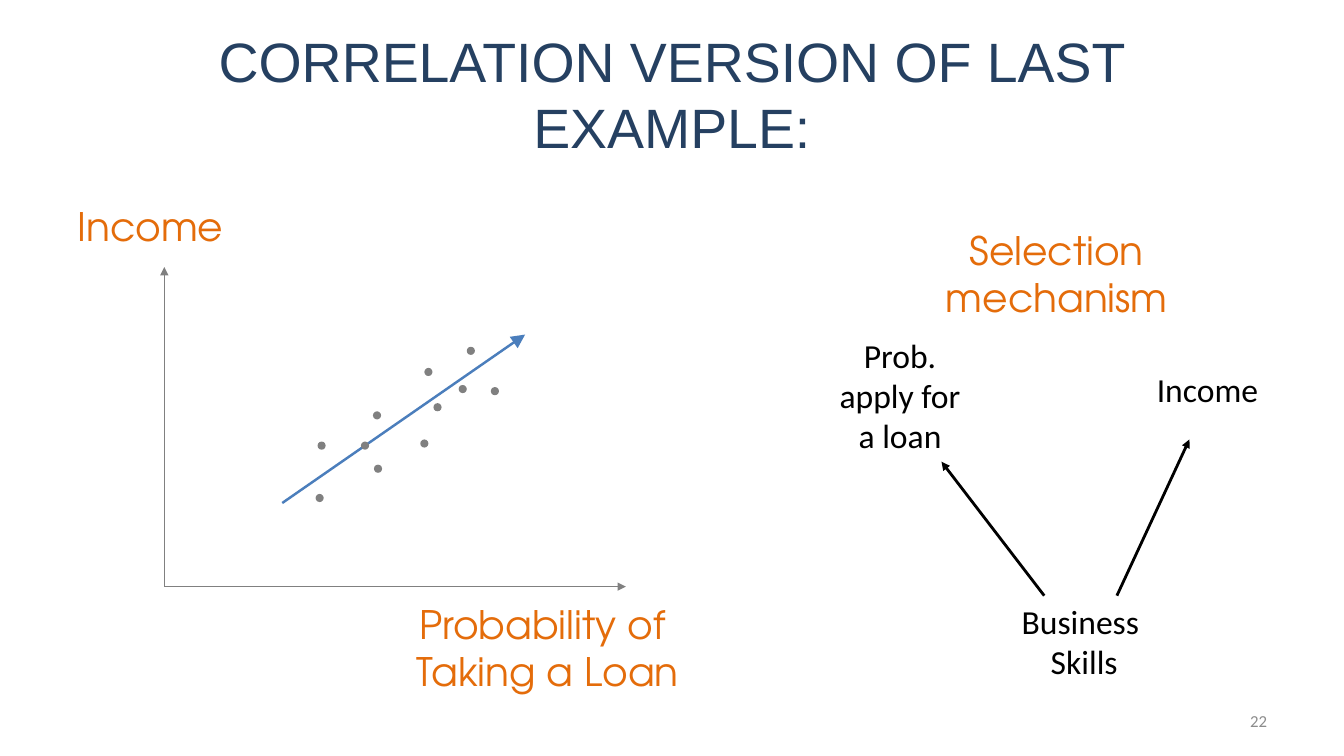
from typing import Any, NamedTuple

from lxml.etree import SubElement
from pptx import Presentation
from pptx.dml.color import RGBColor
from pptx.enum.shapes import MSO_CONNECTOR as Connector, MSO_SHAPE as Preset
from pptx.enum.text import MSO_ANCHOR as Anchor, MSO_AUTO_SIZE as AutoSize, PP_ALIGN as Align
from pptx.oxml.ns import qn
from pptx.slide import Slide
from pptx.text.text import TextFrame
from pptx.util import Pt

NAVY = RGBColor(0x25, 0x40, 0x61)
ORANGE = RGBColor(0xE4, 0x6C, 0x0A)
BLUE = RGBColor(0x4B, 0x7E, 0xBC)
GRAY = RGBColor(0x80, 0x80, 0x80)
PAGE_GRAY = RGBColor(0x8C, 0x8C, 0x8C)
BLACK = RGBColor(0, 0, 0)

DOT_SIZE = 5.8
ORIGIN = (117.4, 419)


class Style(NamedTuple):
    font: str
    size: float
    color: RGBColor
    align: Align = Align.CENTER
    anchor: Anchor = Anchor.TOP


class Label(NamedTuple):
    text: str
    box: tuple[float, float, float, float]
    style: Style
    wrap: bool = False


class Arrow(NamedTuple):
    start: tuple[float, float]
    end: tuple[float, float]
    color: RGBColor
    width: float
    head: str = "med"


TITLE = Style("Arial", 39.6, NAVY, anchor=Anchor.MIDDLE)
HEADING = Style("TeX Gyre Adventor", 28, ORANGE)
AXIS_NAME = HEADING._replace(align=Align.LEFT)
NODE = Style("Calibri", 24, BLACK)
PAGE = Style("Calibri", 12, PAGE_GRAY, Align.RIGHT, Anchor.MIDDLE)

HEADLINE = Label("CORRELATION VERSION OF LAST EXAMPLE:", (48, 21.6, 864, 90), TITLE, True)

LABELS = [
    Label("22", (688.3, 500.4, 223.9, 28.8), PAGE, True),
    Label("Probability of \vTaking a Loan", (288.7, 425.5, 205.2, 74.9), HEADING),
    Label("Income", (48.2, 141.1, 120.2, 41), AXIS_NAME),
    Label("Prob. apply for a loan", (584.6, 235.4, 116.6, 94.3), NODE, True),
    Label("Income", (818.6, 259.9, 87.8, 36), NODE),
    Label("Business \vSkills", (722.2, 425.5, 104.4, 65.5), NODE),
    Label("Selection\vmechanism", (667.4, 158.4, 175, 74.9), HEADING),
]

ARROWS = [
    Arrow(ORIGIN, (447.1, 419), GRAY, 0.75),
    Arrow(ORIGIN, (117.4, 190.8), GRAY, 0.75),
    Arrow((201.6, 359.3), (375.1, 239), BLUE, 1.75, "lg"),
    Arrow((797.8, 425.5), (849.6, 313.9), BLACK, 2),
    Arrow((745.9, 425.5), (672.5, 329.8), BLACK, 2),
]

OBSERVATIONS = [
    (225.4, 352.8), (226.8, 315.4), (267.1, 331.9), (266.4, 293.8),
    (257.8, 315.4), (303.1, 262.8), (300.2, 313.9), (309.6, 288),
    (327.6, 275), (333.4, 247.7), (350.6, 276.5),
]


def set_all(target: Any, values: dict[str, Any]) -> None:
    for attribute, value in values.items():
        setattr(target, attribute, value)


def write(frame: TextFrame, label: Label) -> None:
    style = label.style
    set_all(frame, {
        "text": label.text,
        "word_wrap": label.wrap,
        "auto_size": AutoSize.NONE,
        "vertical_anchor": style.anchor,
    })
    for paragraph in frame.paragraphs:
        paragraph.alignment = style.align
        for run in paragraph.runs:
            set_all(run.font, {"name": style.font, "size": Pt(style.size)})
            run.font.color.rgb = style.color


def draw_title(slide: Slide, label: Label) -> None:
    title = slide.shapes.title
    sides = ("left", "top", "width", "height")
    set_all(title, dict(zip(sides, map(Pt, label.box))))
    write(title.text_frame, label)


def draw_label(slide: Slide, label: Label) -> None:
    write(slide.shapes.add_textbox(*map(Pt, label.box)).text_frame, label)


def draw_arrow(slide: Slide, arrow: Arrow) -> None:
    ends = map(Pt, arrow.start + arrow.end)
    connector = slide.shapes.add_connector(Connector.STRAIGHT, *ends)
    connector.line.width = Pt(arrow.width)
    connector.line.color.rgb = arrow.color
    properties = connector._element.spPr
    SubElement(properties.find(qn("a:ln")), qn("a:tailEnd"),
               type="triangle", w=arrow.head, len=arrow.head)
    SubElement(properties, qn("a:effectLst"))


def draw_dot(slide: Slide, left: float, top: float) -> None:
    dot = slide.shapes.add_shape(Preset.OVAL, Pt(left), Pt(top), Pt(DOT_SIZE), Pt(DOT_SIZE))
    dot.shadow.inherit = False
    dot.fill.solid()
    dot.fill.fore_color.rgb = GRAY
    dot.line.fill.background()


def main() -> None:
    deck = Presentation()
    set_all(deck, {"slide_width": Pt(960), "slide_height": Pt(540)})
    slide = deck.slides.add_slide(deck.slide_layouts.get_by_name("Title Only"))
    draw_title(slide, HEADLINE)
    for arrow in ARROWS:
        draw_arrow(slide, arrow)
    for left, top in OBSERVATIONS:
        draw_dot(slide, left, top)
    for label in LABELS:
        draw_label(slide, label)
    deck.save("out.pptx")


if __name__ == "__main__":
    main()
